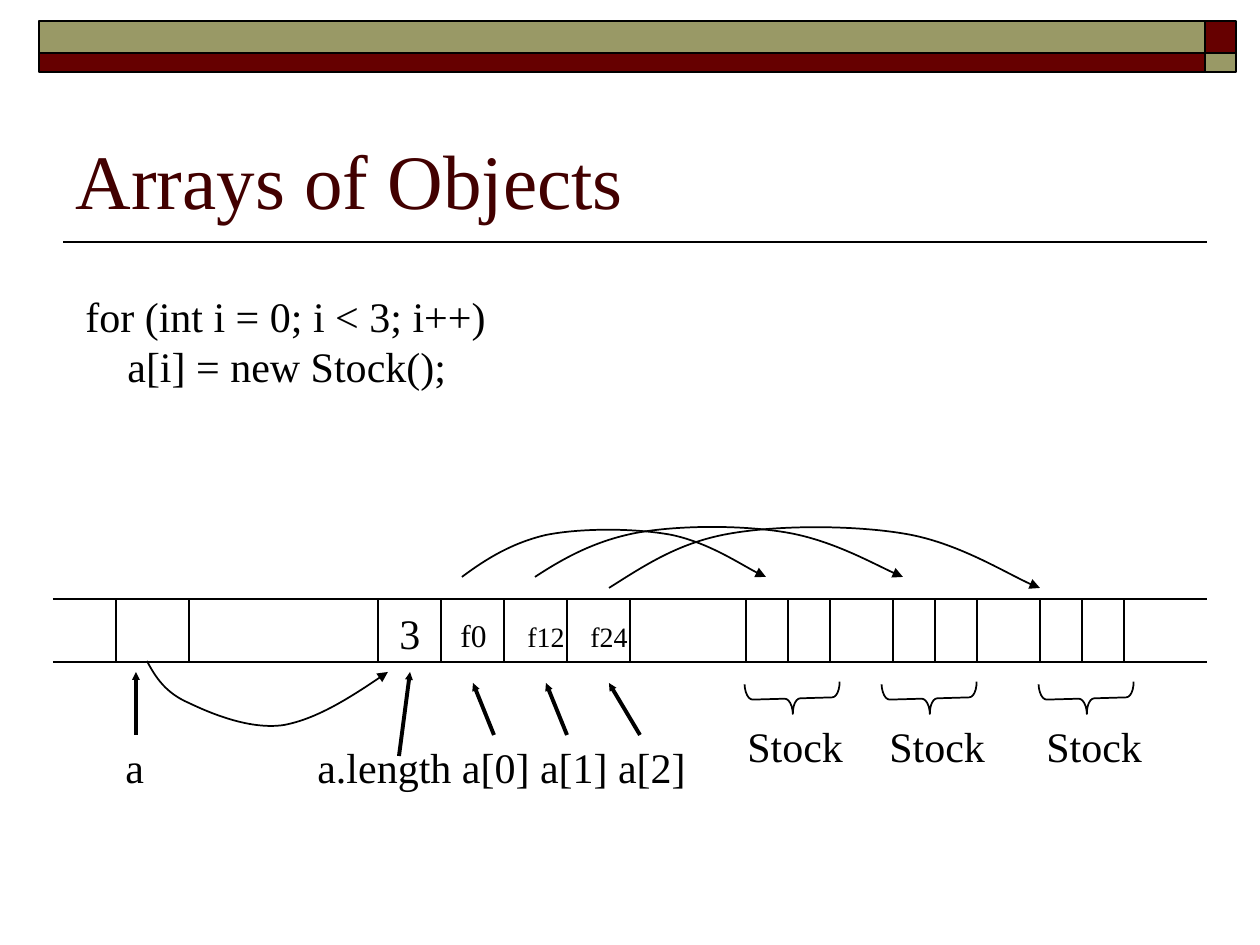
import pptx
import pptx.util
import pptx.dml.color
import pptx.enum.shapes
import pptx.enum.text
import pptx.oxml
import pptx.oxml.ns
import lxml.etree

# Content: all lengths in px
SCALE = 914400 / 126
WIDE, HIGH = 1260, 945
FONT = "Times New Roman"
HUES = {"olive": "999966", "wine": "660000", "title": "420000", "ink": "000000"}

TITLE = "Arrays of Objects"
CODE = ["for (int i = 0; i < 3; i++)", "a[i] = new Stock();"]
INDENT = 42

BARS = [  # x, y, width, height, hue
    (1205, 21, 31, 32, "wine"),
    (39, 21, 1166, 32, "olive"),
    (39, 53, 1166, 19, "wine"),
    (1205, 53, 31, 19, "olive"),
]
RULE = (1207, 242, 63, 242)

# Memory strip
LEFT, RIGHT, TOP, BASE = 53, 1207, 599, 662
EDGES = [116, 189, 378, 441, 504, 567, 630]
STOCKS = [(746, 777, 735), (893, 914, 877), (1040, 1071, 1034)]  # cell, brace, label x
FIELD = 42
BRACE = (651, 31, 95)  # y, width, height

LABELS = [  # text, x, y, width, height, points
    ("3", 387, 601, 46, 63, 24),
    ("f0", 448, 610, 54, 50, 18),
    ("f12", 515, 613, 66, 46, 16),
    ("f24", 578, 613, 66, 46, 16),
    ("a.length a[0] a[1] a[2]", 305, 735, 420, 63, 24),
    ("a", 113, 735, 46, 63, 24),
]
ARROWS = [
    (399, 756, 410, 672),
    (494, 735, 473, 683),
    (567, 735, 546, 683),
    (640, 735, 609, 683),
    (136, 735, 136, 672),
]
CURVES = [  # start, then three points for each Bezier part
    [(147, 661), (156, 678), (166, 693), (189, 703), (212, 714),
     (251, 730), (284, 725), (316, 719), (353, 696), (388, 672)],
    [(462, 577), (486, 559), (512, 543), (546, 535), (581, 528),
     (635, 528), (672, 535), (709, 543), (751, 571), (766, 577)],
    [(535, 577), (564, 558), (595, 541), (636, 533), (679, 525),
     (745, 525), (789, 533), (833, 541), (885, 570), (903, 577)],
    [(609, 588), (644, 566), (678, 543), (728, 534), (777, 525),
     (854, 525), (906, 534), (958, 543), (1017, 580), (1040, 588)],
]


def emu(*nums):
    return [round(n * SCALE) for n in nums]


def hue(name):
    return pptx.dml.color.RGBColor.from_string(HUES[name])


def style(frame, size, name="ink"):
    for para in frame.paragraphs:
        para.alignment = pptx.enum.text.PP_ALIGN.LEFT
        for run in para.runs:
            run.font.name = FONT
            run.font.size = pptx.util.Pt(size)
            run.font.color.rgb = hue(name)


def ink(line, width=1, head=None):
    line.color.rgb = hue("ink")
    line.width = pptx.util.Pt(width)
    if head:
        tag = pptx.oxml.ns.qn("a:tailEnd")
        lxml.etree.SubElement(line._get_or_add_ln(), tag,
                              type="triangle", w=head, len=head)


def stroke(shapes, x1, y1, x2, y2, width=1, head=None):
    kind = pptx.enum.shapes.MSO_CONNECTOR.STRAIGHT
    item = shapes.add_connector(kind, *emu(x1, y1, x2, y2))
    ink(item.line, width, head)
    props = item._element.spPr
    lxml.etree.SubElement(props, pptx.oxml.ns.qn("a:effectLst"))


def label(shapes, text, x, y, w, h, size):
    frame = shapes.add_textbox(*emu(x, y, w, h)).text_frame
    frame.word_wrap = True
    frame.text = text
    style(frame, size)
    return frame


def curve(shapes, points):
    build = shapes.build_freeform(*points[0], scale=SCALE)
    build.add_line_segments(points[1:], close=False)
    item = build.convert_to_shape()
    item.shadow.inherit = False
    item.fill.background()
    ink(item.line, head="med")
    # Turn each three line steps into one Bezier part
    qn = pptx.oxml.ns.qn
    steps = list(item._element.iter(qn("a:lnTo")))
    route = steps[0].getparent()
    for i in range(0, len(steps), 3):
        part = lxml.etree.SubElement(route, qn("a:cubicBezTo"))
        for step in steps[i:i + 3]:
            part.append(step[0])
            route.remove(step)


def main():
    deck = pptx.Presentation()
    deck.slide_width, deck.slide_height = emu(WIDE, HIGH)
    slide = deck.slides.add_slide(deck.slide_layouts[5])
    shapes = slide.shapes
    kinds = pptx.enum.shapes.MSO_SHAPE

    # Top bars and rule
    stroke(shapes, *RULE)
    for *box, name in BARS:
        bar = shapes.add_shape(kinds.RECTANGLE, *emu(*box))
        bar.shadow.inherit = False
        bar.fill.solid()
        bar.fill.fore_color.rgb = hue(name)
        ink(bar.line)

    # Title
    head = shapes.title
    head.left, head.top, head.width, head.height = emu(63, 73, 1134, 158)
    head.text_frame.text = TITLE
    head.text_frame.vertical_anchor = pptx.enum.text.MSO_ANCHOR.BOTTOM
    style(head.text_frame, 44, "title")

    # Code
    frame = label(shapes, "\n".join(CODE), 73, 284, 440, 113, 24)
    frame.paragraphs[1]._p.get_or_add_pPr().set("marL", str(emu(INDENT)[0]))

    # Memory strip
    for y in (TOP, BASE):
        stroke(shapes, LEFT, y, RIGHT, y)
    fields = [cell + FIELD * i for cell, _, _ in STOCKS for i in range(3)]
    for x in EDGES + fields:
        stroke(shapes, x, TOP, x, BASE)

    # Stock objects
    y, w, h = BRACE
    for _, x, left in STOCKS:
        brace = shapes.add_shape(kinds.LEFT_BRACE, *emu(x, y, w, h))
        brace.rotation = 268.4
        brace.adjustments[0] = 0.25
        brace.shadow.inherit = False
        brace.fill.background()
        ink(brace.line)
        label(shapes, "Stock", left, 714, 126, 63, 24)

    # Labels, pointers and references
    for item in LABELS:
        label(shapes, *item)
    for ends in ARROWS:
        stroke(shapes, *ends, width=2.25, head="sm")
    for points in CURVES:
        curve(shapes, points)

    deck.save("out.pptx")


if __name__ == "__main__":
    main()
